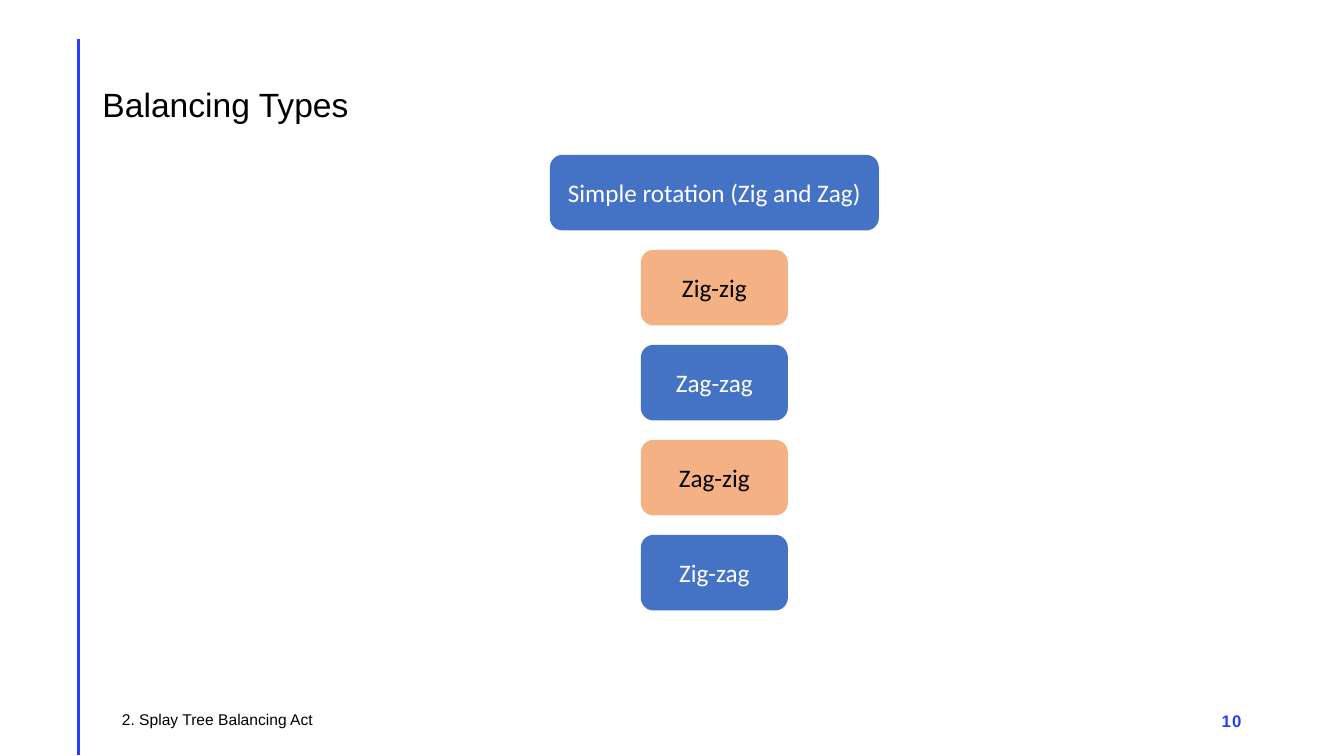
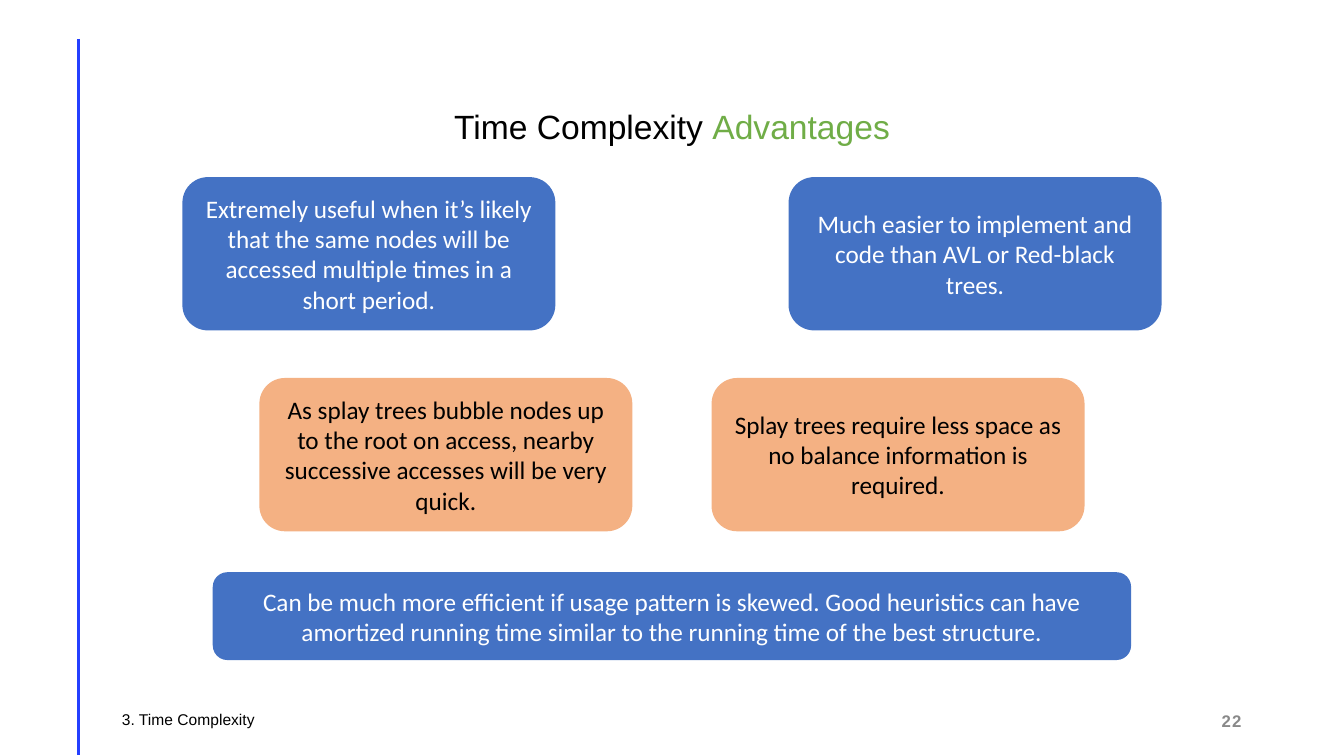
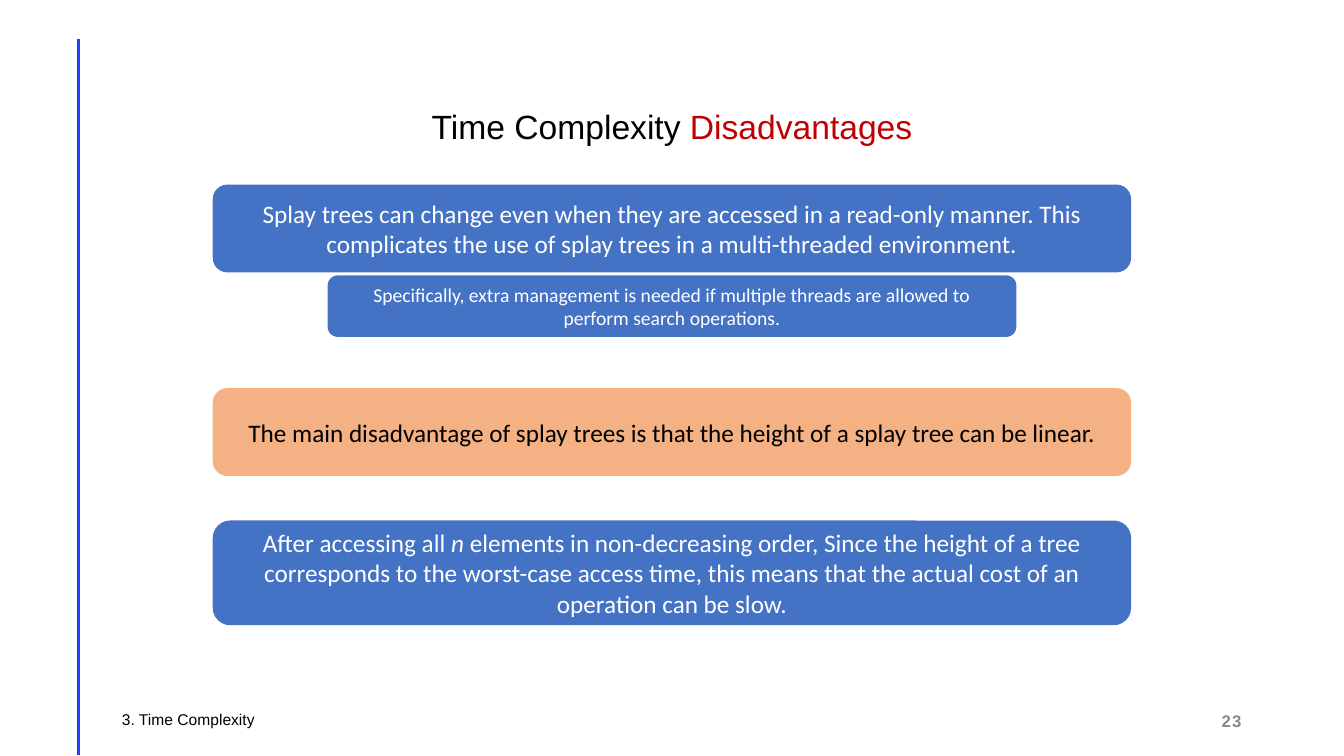
"""Build three slides on splay tree balancing and time complexity."""
from dataclasses import dataclass, field
from typing import Any

from lxml.etree import SubElement
from pptx import Presentation
from pptx.dml.color import RGBColor
from pptx.enum.shapes import MSO_CONNECTOR, MSO_SHAPE
from pptx.enum.text import MSO_ANCHOR, MSO_AUTO_SIZE, PP_ALIGN
from pptx.oxml.ns import qn
from pptx.slide import Slide
from pptx.text.text import TextFrame
from pptx.util import Pt

BLACK = RGBColor(0x00, 0x00, 0x00)
WHITE = RGBColor(0xFF, 0xFF, 0xFF)
ACCENT = RGBColor(0x24, 0x3F, 0xFF)
GREY = RGBColor(0x89, 0x89, 0x89)
BLUE = RGBColor(0x44, 0x72, 0xC4)
ORANGE = RGBColor(0xF4, 0xB1, 0x83)
GREEN = RGBColor(0x70, 0xAD, 0x47)
RED = RGBColor(0xC0, 0x00, 0x00)

SLIDE_WIDTH, SLIDE_HEIGHT = 960, 540
MIDDLE = SLIDE_WIDTH / 2
RULE_X, RULE_TOP, RULE_BOTTOM = 56.2, 27.8, 539.5
TITLE_ONLY = 5

FRAME_FORMAT = {"word_wrap": True, "auto_size": MSO_AUTO_SIZE.NONE,
                "vertical_anchor": MSO_ANCHOR.MIDDLE}
TITLE_FONT = {"name": "Arial", "size": Pt(24), "bold": False}
SECTION_FONT = {"name": "Arial", "size": Pt(11.1)}
NUMBER_FONT = {"name": "Arial", "size": Pt(12), "bold": True}


@dataclass(frozen=True)
class Span:
    """A stretch of text with its own colour or slant."""
    text: str
    colour: RGBColor
    italic: bool = False


@dataclass(frozen=True)
class Heading:
    """A slide title with its place and alignment."""
    spans: list[Span]
    top: float = 75.6
    height: float = 47.5
    align: PP_ALIGN = PP_ALIGN.CENTER
    anchor: MSO_ANCHOR = MSO_ANCHOR.TOP


@dataclass(frozen=True)
class Card:
    """A rounded statement placed by its horizontal centre."""
    words: list[str]
    center: float
    top: float
    width: float
    height: float
    fill: RGBColor = BLUE
    size: float = 18
    italics: list[str] = field(default_factory=list)


@dataclass(frozen=True)
class Page:
    """Everything that differs from slide to slide."""
    heading: Heading
    section: str
    number: str
    cards: list[Card]
    number_colour: RGBColor = GREY


def apply_format(target: Any, values: dict[str, Any]) -> None:
    """Set each named attribute on the target."""
    for name, value in values.items():
        setattr(target, name, value)


def write(frame: TextFrame, spans: list[Span], font: dict[str, Any],
          paragraph_format: dict[str, Any]) -> None:
    """Fill a frame with one formatted paragraph."""
    apply_format(frame, FRAME_FORMAT)
    paragraph = frame.paragraphs[0]
    apply_format(paragraph, paragraph_format)
    for span in spans:
        run = paragraph.add_run()
        run.text = span.text
        apply_format(run.font, font | {"italic": span.italic})
        run.font.color.rgb = span.colour


def draw_rule(slide: Slide) -> None:
    """Draw the vertical line at the left margin."""
    rule = slide.shapes.add_connector(MSO_CONNECTOR.STRAIGHT, Pt(RULE_X), Pt(RULE_TOP),
                                      Pt(RULE_X), Pt(RULE_BOTTOM))
    rule.line.color.rgb = ACCENT
    rule.line.width = Pt(2)
    SubElement(rule._element.spPr, qn("a:effectLst"))


def draw_heading(slide: Slide, heading: Heading) -> None:
    """Move and fill the title placeholder."""
    title = slide.shapes.title
    apply_format(title, {"left": Pt(66), "top": Pt(heading.top),
                         "width": Pt(828), "height": Pt(heading.height)})
    write(title.text_frame, heading.spans, TITLE_FONT,
          {"alignment": heading.align, "line_spacing": 0.9})
    title.text_frame.vertical_anchor = heading.anchor


def draw_footer(slide: Slide, page: Page) -> None:
    """Write the section name and the page number."""
    section = slide.shapes.add_textbox(Pt(80), Pt(505.4), Pt(211), Pt(18.7))
    write(section.text_frame, [Span(page.section, BLACK)], SECTION_FONT, {"line_spacing": 0.8})
    number = slide.shapes.add_textbox(Pt(678), Pt(500.5), Pt(216), Pt(28.8))
    write(number.text_frame, [Span(page.number, page.number_colour)], NUMBER_FONT,
          {"alignment": PP_ALIGN.RIGHT})
    number.text_frame.paragraphs[0].runs[0]._r.get_or_add_rPr().set("spc", "100")


def draw_card(slide: Slide, card: Card) -> None:
    """Draw one rounded statement."""
    box = slide.shapes.add_shape(MSO_SHAPE.ROUNDED_RECTANGLE, Pt(card.center - card.width / 2),
                                 Pt(card.top), Pt(card.width), Pt(card.height))
    box.shadow.inherit = False
    box.fill.solid()
    box.fill.fore_color.rgb = card.fill
    box.line.fill.background()
    colour = BLACK if card.fill == ORANGE else WHITE
    spans = [Span(text, colour, text in card.italics) for text in card.words]
    write(box.text_frame, spans, {"name": "Calibri", "size": Pt(card.size)},
          {"alignment": PP_ALIGN.CENTER})


def rotation_cards() -> list[Card]:
    """Stack the rotation names in alternating colours."""
    names = ["Simple rotation (Zig and Zag)", "Zig-zig", "Zag-zag", "Zag-zig", "Zig-zag"]
    return [Card([name], 510.3, 110.6 + 67.86 * row, 105 if row else 235, 54,
                 ORANGE if row % 2 else BLUE)
            for row, name in enumerate(names)]


def advantage_cards() -> list[Card]:
    """Place two mirrored pairs above a wide statement."""
    pairs = [
        (126.5, 216.5, BLUE,
         "Extremely useful when it’s likely that the same nodes will be accessed "
         "multiple times in a short period.",
         "Much easier to implement and code than AVL or Red-black trees."),
        (270, 161.5, ORANGE,
         "As splay trees bubble nodes up to the root on access, nearby successive "
         "accesses will be very quick.",
         "Splay trees require less space as no balance information is required."),
    ]
    cards = [Card([text], MIDDLE + side * offset, top, 266.4, 109.5, fill)
             for top, offset, fill, *texts in pairs
             for side, text in zip((-1, 1), texts)]
    skewed = ("Can be much more efficient if usage pattern is skewed. Good heuristics can have "
              "amortized running time similar to the running time of the best structure.")
    return cards + [Card([skewed], MIDDLE, 408.7, 656, 62.8)]


def disadvantage_cards() -> list[Card]:
    """Stack the wide statements around the slide's middle."""
    return [
        Card(["Splay trees can change even when they are accessed in a read-only manner. This "
              "complicates the use of splay trees in a multi-threaded environment."],
             MIDDLE, 131.8, 656, 62.8),
        Card(["Specifically, extra management is needed if multiple threads are allowed to "
              "perform search operations."], MIDDLE, 196.7, 492, 44, size=14),
        Card(["The main disadvantage of splay trees is that the height of a splay tree can be "
              "linear."], MIDDLE, 277.2, 656, 62.8, ORANGE),
        Card(["After accessing all ", "n",
              " elements in non-decreasing order, Since the height of a tree corresponds to the "
              "worst-case access time, this means that the actual cost of an operation can be "
              "slow."], MIDDLE, 371.8, 656, 74.8, italics=["n"]),
    ]


def complexity_page(aspect: str, colour: RGBColor, number: str, cards: list[Card]) -> Page:
    """Describe a time complexity slide."""
    heading = Heading([Span("Time Complexity ", BLACK), Span(aspect, colour)])
    return Page(heading, "3. Time Complexity", number, cards)


def main() -> None:
    """Build and save the presentation."""
    deck = Presentation()
    apply_format(deck, {"slide_width": Pt(SLIDE_WIDTH), "slide_height": Pt(SLIDE_HEIGHT)})
    balancing = Heading([Span("Balancing Types", BLACK)], 48.2, 55.4,
                        PP_ALIGN.LEFT, MSO_ANCHOR.MIDDLE)
    pages = [
        Page(balancing, "2. Splay Tree Balancing Act", "10", rotation_cards(), ACCENT),
        complexity_page("Advantages", GREEN, "22", advantage_cards()),
        complexity_page("Disadvantages", RED, "23", disadvantage_cards()),
    ]
    for page in pages:
        slide = deck.slides.add_slide(deck.slide_layouts[TITLE_ONLY])
        draw_rule(slide)
        draw_heading(slide, page.heading)
        draw_footer(slide, page)
        for card in page.cards:
            draw_card(slide, card)
    deck.save("out.pptx")


if __name__ == "__main__":
    main()
